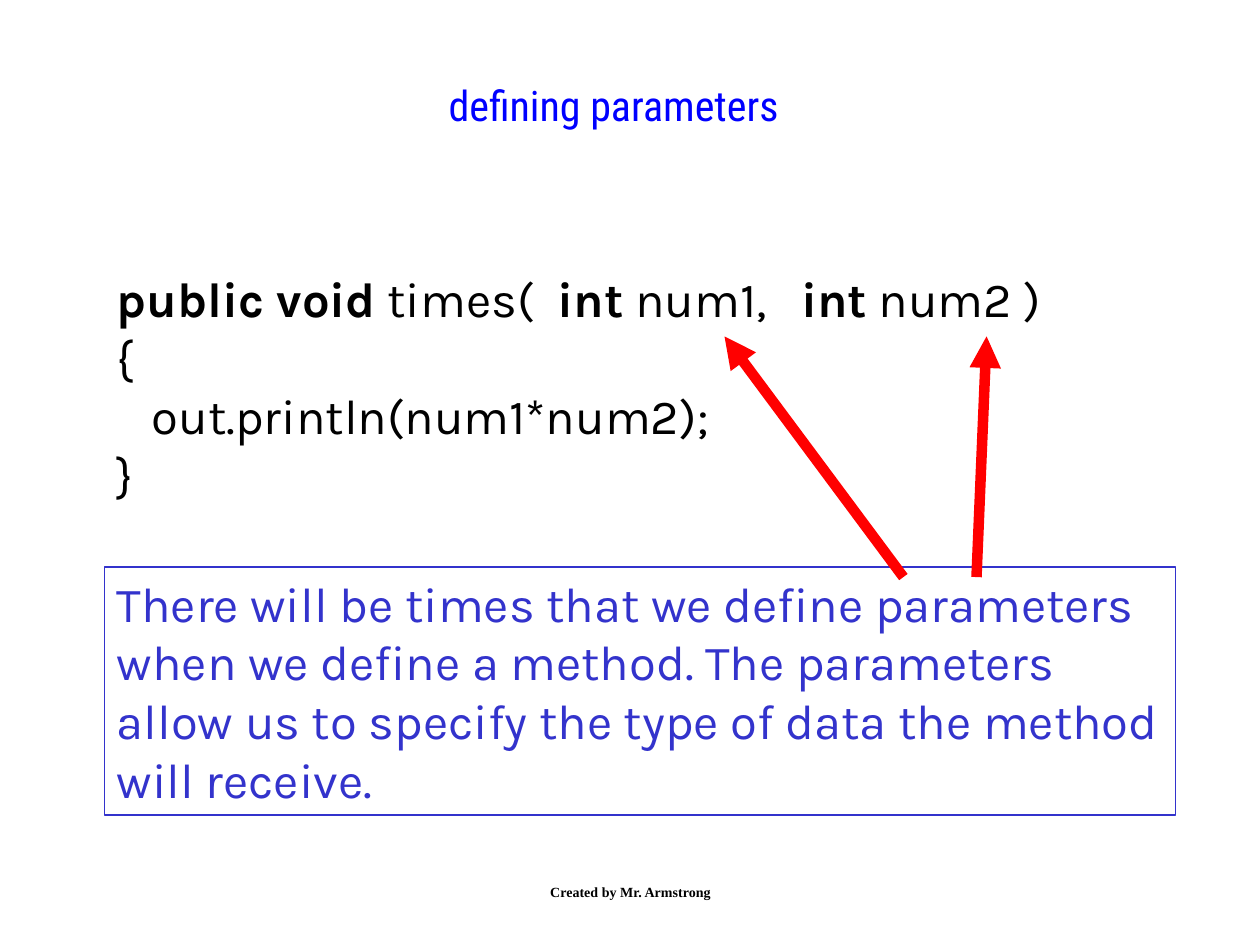
"""Build the slide on defining method parameters."""
from dataclasses import dataclass

from lxml.etree import SubElement
from pptx import Presentation
from pptx.dml.color import RGBColor
from pptx.enum.shapes import MSO_CONNECTOR as Connector, MSO_SHAPE as Shape
from pptx.enum.text import MSO_ANCHOR as Anchor, MSO_AUTO_SIZE as AutoSize, PP_ALIGN as Align
from pptx.oxml.ns import qn
from pptx.slide import Slide
from pptx.text.text import TextFrame
from pptx.util import Inches, Pt

BLACK = RGBColor(0x00, 0x00, 0x00)
BLUE = RGBColor(0x00, 0x00, 0xFF)
INDIGO = RGBColor(0x33, 0x33, 0xCC)
RED = RGBColor(0xFF, 0x00, 0x00)


@dataclass(frozen=True)
class Style:
    font: str
    size: int
    color: RGBColor
    align: Align = Align.LEFT
    anchor: Anchor = Anchor.TOP


@dataclass(frozen=True)
class Span:
    text: str
    bold: bool = False


@dataclass(frozen=True)
class Arrow:
    start: tuple[float, float]
    end: tuple[float, float]


TITLE = Style("Roboto Condensed", 24, BLUE, Align.CENTER)
CODE = Style("Karla", 28, BLACK)
NOTE = Style("Karla", 28, INDIGO)
CREDIT = Style("Times New Roman", 8, BLACK, Align.CENTER, Anchor.MIDDLE)

CODE_LINES = [
    [Span("public void", True), Span(" times(  "), Span("int", True),
     Span(" num1,   "), Span("int", True), Span(" num2 )")],
    [Span("{")],
    [Span("   out.println(num1*num2);")],
    [Span("}")],
]
EXPLANATION = (
    "There will be times that we define parameters when we define a method. "
    "The parameters allow us to specify the type of data the method will receive."
)
ARROWS = [Arrow((7.75, 4.58), (7.83, 2.67)), Arrow((7.17, 4.58), (5.75, 2.67))]


def write(frame: TextFrame, lines: list[list[Span]], style: Style) -> None:
    frame.word_wrap = True
    frame.auto_size = AutoSize.NONE
    frame.vertical_anchor = style.anchor
    for index, line in enumerate(lines):
        para = frame.add_paragraph() if index else frame.paragraphs[0]
        para.alignment = style.align
        for span in line:
            run = para.add_run()
            run.text = span.text
            run.font.name = style.font
            run.font.size = Pt(style.size)
            run.font.color.rgb = style.color
            run.font.bold = span.bold


def add_text(page: Slide, place: tuple[float, ...], lines: list[list[Span]], style: Style) -> None:
    box = page.shapes.add_textbox(*map(Inches, place))
    write(box.text_frame, lines, style)


def add_title(page: Slide) -> None:
    title = page.shapes.title
    title.left, title.top, title.width, title.height = map(Inches, (1.08, 0.58, 7.58, 0.75))
    write(title.text_frame, [[Span("defining parameters")]], TITLE)


def add_explanation(page: Slide) -> None:
    box = page.shapes.add_shape(Shape.RECTANGLE, *map(Inches, (0.83, 4.5, 8.5, 1.97)))
    box.shadow.inherit = False
    box.fill.background()
    box.line.color.rgb = INDIGO
    box.line.width = Pt(1)
    write(box.text_frame, [[Span(EXPLANATION)]], NOTE)


def add_arrow(page: Slide, arrow: Arrow) -> None:
    line = page.shapes.add_connector(Connector.STRAIGHT, *map(Inches, arrow.start + arrow.end))
    line.line.color.rgb = RED
    line.line.width = Pt(6)
    properties = line._element.spPr
    SubElement(properties.find(qn("a:ln")), qn("a:tailEnd"), type="triangle")
    SubElement(properties, qn("a:effectLst"))


def main() -> None:
    deck = Presentation()
    deck.slide_width, deck.slide_height = Inches(10), Inches(7.5)
    page = deck.slides.add_slide(deck.slide_layouts.get_by_name("Title Only"))
    add_text(page, (0.83, 2.08, 7.83, 1.97), CODE_LINES, CODE)
    add_title(page)
    add_explanation(page)
    for arrow in ARROWS:
        add_arrow(page, arrow)
    add_text(page, (3.42, 6.83, 3.17, 0.5), [[Span("Created by Mr. Armstrong", True)]], CREDIT)
    deck.save("out.pptx")


if __name__ == "__main__":
    main()
